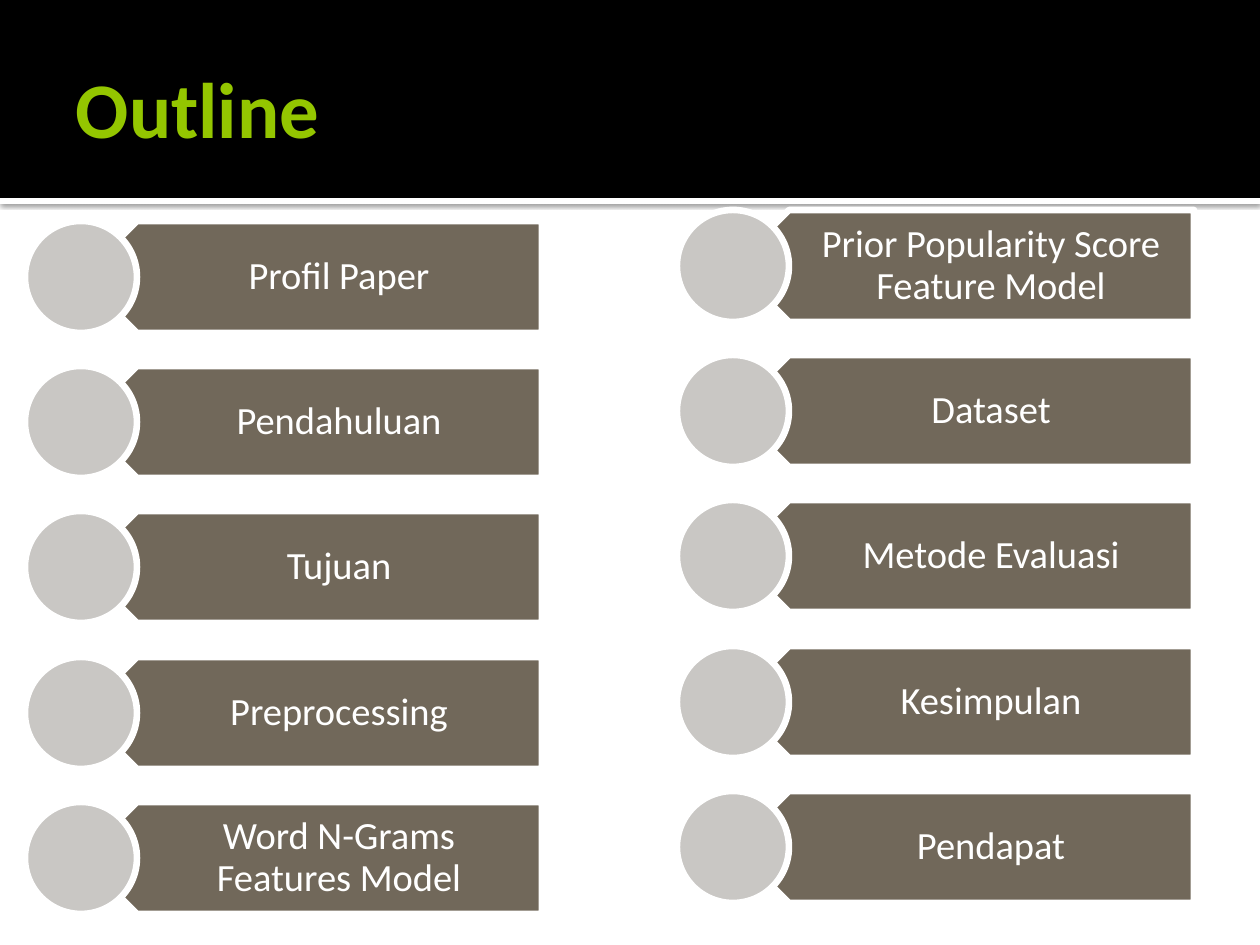
"""Build the outline slide with two columns of topic banners."""
from dataclasses import dataclass

from lxml.etree import SubElement
from pptx import Presentation
from pptx.dml.color import RGBColor
from pptx.enum.shapes import MSO_SHAPE
from pptx.enum.text import MSO_ANCHOR, PP_ALIGN
from pptx.oxml.ns import qn
from pptx.util import Emu, Pt

WHITE = RGBColor(0xFF, 0xFF, 0xFF)
BLACK = RGBColor(0x00, 0x00, 0x00)
GREEN = RGBColor(0x94, 0xC6, 0x00)
BROWN = RGBColor(0x71, 0x68, 0x5A)
GREY = RGBColor(0xC9, 0xC7, 0xC4)

FONT = "Calibri"
SCALE = 914400 / 126
SIZE = 112
STEP = 145.2


@dataclass(frozen=True)
class Box:
    left: int
    top: int
    width: int
    height: int

    def emu(self) -> list[Emu]:
        return [px(n) for n in (self.left, self.top, self.width, self.height)]


@dataclass(frozen=True)
class Column:
    left: int
    top: int
    topics: tuple[str, ...]


@dataclass(frozen=True)
class Style:
    size: int
    color: RGBColor
    bold: bool
    align: PP_ALIGN
    space: float
    insets: tuple[int, int, int, int]


TITLE = Style(45, GREEN, True, PP_ALIGN.LEFT, 1.0, (13, 6, 6, 6))
LABEL = Style(22, WHITE, False, PP_ALIGN.CENTER, 0.9, (49, 11, 21, 11))

COLUMNS = (
    Column(25, 221, ("Profil Paper", "Pendahuluan", "Tujuan", "Preprocessing",
                     "Word N-Grams Features Model")),
    Column(677, 210, ("Prior Popularity Score Feature Model", "Dataset",
                      "Metode Evaluasi", "Kesimpulan", "Pendapat")),
)


def px(count: float) -> Emu:
    return Emu(round(count * SCALE))


def add_form(shapes, kind: MSO_SHAPE, box: Box, fill: RGBColor, edge: bool = False):
    form = shapes.add_shape(kind, *box.emu())
    form.shadow.inherit = False
    form.fill.solid()
    form.fill.fore_color.rgb = fill
    if edge:
        form.line.color.rgb = WHITE
        form.line.width = Pt(3.78)
    else:
        form.line.fill.background()
    return form


def add_label(shapes, box: Box, text: str, style: Style) -> None:
    frame = shapes.add_textbox(*box.emu()).text_frame
    frame.word_wrap = True
    frame.vertical_anchor = MSO_ANCHOR.MIDDLE
    (frame.margin_left, frame.margin_top,
     frame.margin_right, frame.margin_bottom) = map(px, style.insets)
    para = frame.paragraphs[0]
    para.alignment = style.align
    para.line_spacing = style.space
    run = para.add_run()
    run.text = text
    run.font.name = FONT
    run.font.size = Pt(style.size)
    run.font.bold = style.bold
    run.font.color.rgb = style.color


def add_shade(form) -> None:
    effects = form.element.spPr.find(qn("a:effectLst"))
    shade = SubElement(effects, qn("a:outerShdw"), blurRad=str(Pt(2.5)),
                       dist=str(Pt(0.8)), dir="5400000", algn="t", rotWithShape="0")
    color = SubElement(shade, qn("a:srgbClr"), val=str(BLACK))
    SubElement(color, qn("a:alpha"), val="60000")


def add_column(slide, column: Column) -> None:
    shapes = slide.shapes.add_group_shape().shapes
    left = column.left
    for row, topic in enumerate(column.topics):
        top = round(column.top + row * STEP)
        plate = add_form(shapes, MSO_SHAPE.PENTAGON,
                         Box(left + 56, top, 461, SIZE), BROWN, True)
        plate.rotation = 180
        add_label(shapes, Box(left + 83, top, 434, SIZE), topic, LABEL)
        add_form(shapes, MSO_SHAPE.OVAL, Box(left, top, SIZE, SIZE), GREY, True)


def main() -> None:
    deck = Presentation()
    deck.slide_width, deck.slide_height = px(1260), px(945)
    slide = deck.slides.add_slide(deck.slide_layouts[6])
    strip = add_form(slide.shapes, MSO_SHAPE.RECTANGLE, Box(0, 198, 1260, 6), WHITE)
    add_shade(strip)
    add_form(slide.shapes, MSO_SHAPE.RECTANGLE, Box(0, 0, 1260, 198), BLACK)
    add_label(slide.shapes, Box(63, 21, 1134, 173), "Outline", TITLE)
    for column in COLUMNS:
        add_column(slide, column)
    deck.save("out.pptx")


main()
